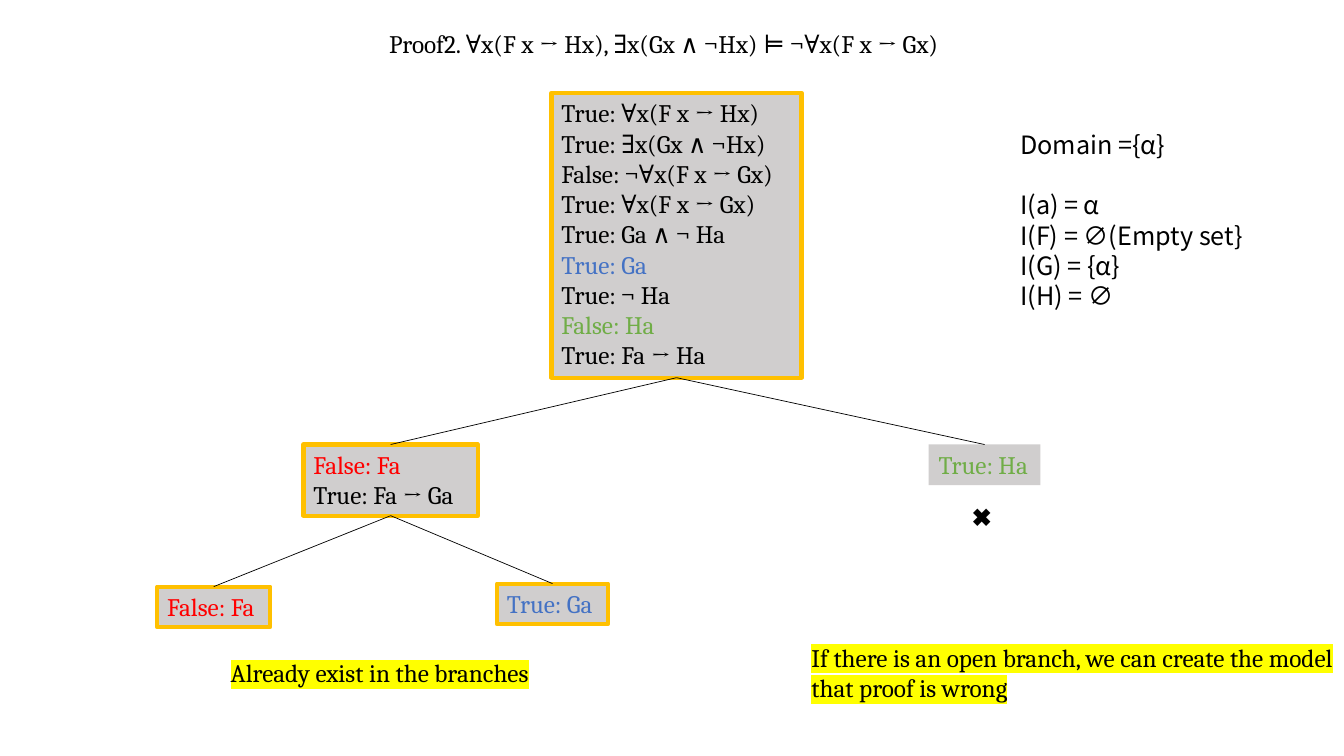
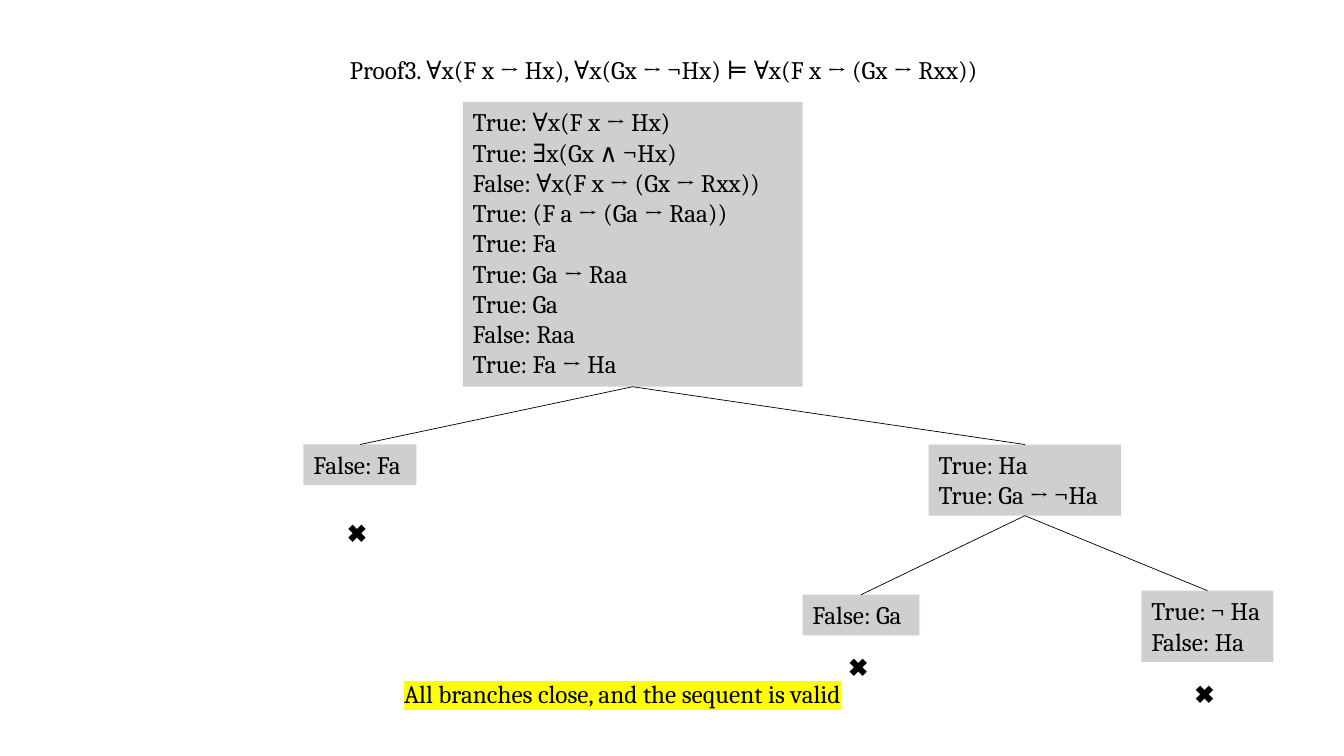
from lxml.etree import SubElement
from pptx import Presentation
from pptx.dml.color import RGBColor
from pptx.enum.shapes import MSO_CONNECTOR
from pptx.oxml.ns import qn
from pptx.util import Inches, Pt

COLORS = {
    "ink": "000000",
    "node": "D0CECE",
    "open": "FFC000",
    "marker": "FFFF00",
    "red": "FF0000",
    "blue": "4472C4",
    "green": "70AD47",
}
SERIF, SANS = "Cambria", "Noto Sans CJK JP"
TEXT_SIZE = 18
LINE_HEIGHT, PADDING = 0.303, 0.1
MARK, MARK_WIDTH, MARK_GAP = "✖️", 0.45, 0.11
TOP_SITE, BOTTOM_SITE = 0, 2

# Nodes are listed parent first. "open" outlines a node on an open branch;
# "closed" is the gap from a node down to its closing mark.
PROOFS = [
    {
        "title": ("Proof2. ∀x(F x → Hx), ∃x(Gx ∧ ¬Hx) ⊨ ¬∀x(F x → Gx)", 3.76, 0.23, 6.01),
        "tints": {"True: Ga": "blue", "False: Ha": "green", "True: Ha": "green", "False: Fa": "red"},
        "nodes": {
            "root": {"at": (5.47, 0.92, 2.48), "open": True, "lines": [
                "True: ∀x(F x → Hx)",
                "True: ∃x(Gx ∧ ¬Hx)",
                "False: ¬∀x(F x → Gx)",
                "True: ∀x(F x → Gx)",
                "True: Ga ∧ ¬ Ha",
                "True: Ga",
                "True: ¬ Ha",
                "False: Ha",
                "True: Fa → Ha",
            ]},
            "left": {"at": (3.01, 4.41, 1.73), "parent": "root", "open": True,
                     "lines": ["False: Fa", "True: Fa → Ga"]},
            "right": {"at": (9.21, 4.41, 1.11), "parent": "root", "closed": MARK_GAP,
                      "lines": ["True: Ha"]},
            "left leaf": {"at": (1.56, 5.82, 1.12), "parent": "left", "open": True,
                          "lines": ["False: Fa"]},
            "right leaf": {"at": (4.93, 5.79, 1.1), "parent": "left", "open": True,
                           "lines": ["True: Ga"]},
        },
        "remarks": [
            ("If there is an open branch, we can create the model that proof is wrong", 7.95, 6.32, 5.48),
            ("Already exist in the branches", 2.19, 6.47, 5.48),
        ],
        "model": {
            "at": (10.02, 1.23, 2.57),
            "lines": ["Domain ={α}", "I(a) = α", "I(F) = ∅(Empty set}", "I(G) = {α}", "I(H) = ∅"],
        },
    },
    {
        "title": ("Proof3. ∀x(F x → Hx), ∀x(Gx → ¬Hx) ⊨ ∀x(F x → (Gx → Rxx))", 3.37, 0.49, 6.95),
        "nodes": {
            "root": {"at": (4.59, 1.01, 3.37), "lines": [
                "True: ∀x(F x → Hx)",
                "True: ∃x(Gx ∧ ¬Hx)",
                "False: ∀x(F x → (Gx → Rxx))",
                "True: (F a → (Ga → Raa))",
                "True: Fa",
                "True: Ga → Raa",
                "True: Ga",
                "False: Raa",
                "True: Fa → Ha",
            ]},
            "left": {"at": (3.01, 4.41, 1.12), "parent": "root", "closed": 0.27,
                     "lines": ["False: Fa"]},
            "right": {"at": (9.21, 4.41, 1.91), "parent": "root",
                      "lines": ["True: Ha", "True: Ga → ¬Ha"]},
            "left leaf": {"at": (7.96, 5.9, 1.16), "parent": "right", "closed": MARK_GAP,
                          "lines": ["False: Ga"]},
            "right leaf": {"at": (11.32, 5.86, 1.31), "parent": "right", "closed": MARK_GAP,
                           "lines": ["True: ¬ Ha", "False: Ha"]},
        },
        "remarks": [("All branches close, and the sequent is valid", 3.91, 6.68, 4.56)],
    },
]


def color(name):
    return RGBColor.from_string(COLORS[name])


def text_height(line_count):
    return 2 * PADDING / 2 + LINE_HEIGHT * line_count


def add_text(page, lines, left, top, width, font=SERIF, tints=None):
    """Add a text box with one paragraph per line, tinted by its wording."""
    box = page.shapes.add_textbox(Inches(left), Inches(top), Inches(width),
                                  Inches(text_height(len(lines))))
    frame = box.text_frame
    frame.word_wrap = True
    for index, line in enumerate(lines):
        para = frame.paragraphs[0] if index == 0 else frame.add_paragraph()
        para.add_run().text = line
        para.font.name = font
        para.font.size = Pt(TEXT_SIZE)
        para.font.color.rgb = color((tints or {}).get(line, "ink"))
    return box


def add_remark(page, text, left, top, width):
    box = add_text(page, [text], left, top, width)
    for span in box.text_frame.paragraphs[0].runs:
        highlight = SubElement(span.font._element, qn("a:highlight"))
        SubElement(highlight, qn("a:srgbClr")).set("val", COLORS["marker"])


def add_model(page, model):
    """List the domain, then the interpretation one line lower."""
    box = add_text(page, model["lines"], *model["at"], font=SANS)
    box.text_frame.paragraphs[1].space_before = Pt(LINE_HEIGHT * 72)


def add_node(page, node, tints):
    left, top, width = node["at"]
    box = add_text(page, node["lines"], left, top, width, tints=tints)
    box.fill.solid()
    box.fill.fore_color.rgb = color("node")
    if node.get("open"):
        box.line.color.rgb = color("open")
        box.line.width = Pt(3)
    if "closed" in node:
        mark_top = top + text_height(len(node["lines"])) + node["closed"]
        add_text(page, [MARK], left + (width - MARK_WIDTH) / 2, mark_top, MARK_WIDTH, font=SANS)
    return box


def add_branch(page, child, parent):
    branch = page.shapes.add_connector(MSO_CONNECTOR.STRAIGHT, 0, 0, 0, 0)
    branch.begin_connect(child, TOP_SITE)
    branch.end_connect(parent, BOTTOM_SITE)
    branch.line.color.rgb = color("ink")
    branch.line.width = Pt(0.5)
    SubElement(branch._element.spPr, qn("a:effectLst"))


def add_proof(deck, proof):
    page = deck.slides.add_slide(deck.slide_layouts[6])
    title, *place = proof["title"]
    add_text(page, [title], *place)
    boxes = {}
    for name, node in proof["nodes"].items():
        boxes[name] = add_node(page, node, proof.get("tints"))
        if "parent" in node:
            add_branch(page, boxes[name], boxes[node["parent"]])
    for remark in proof["remarks"]:
        add_remark(page, *remark)
    if "model" in proof:
        add_model(page, proof["model"])


def main():
    deck = Presentation()
    deck.slide_width, deck.slide_height = Inches(13.33), Inches(7.5)
    for proof in PROOFS:
        add_proof(deck, proof)
    deck.save("out.pptx")


if __name__ == "__main__":
    main()
